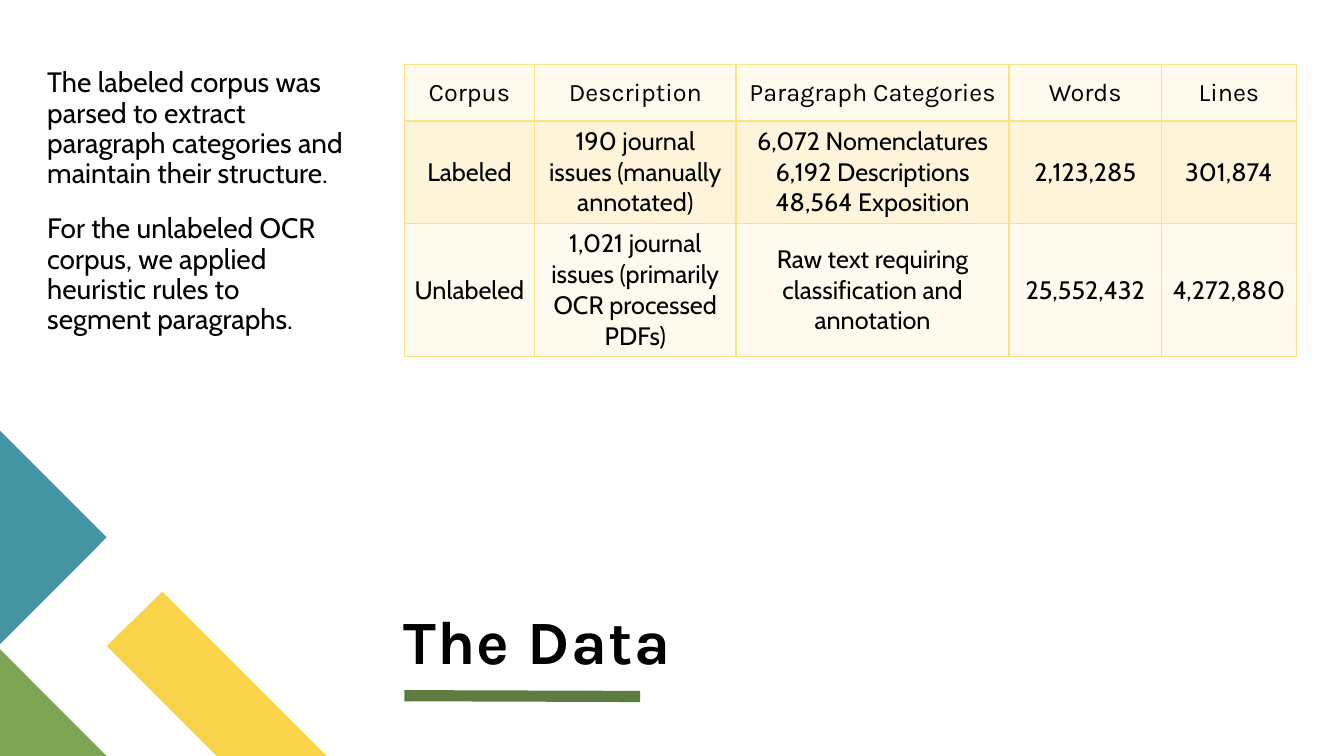
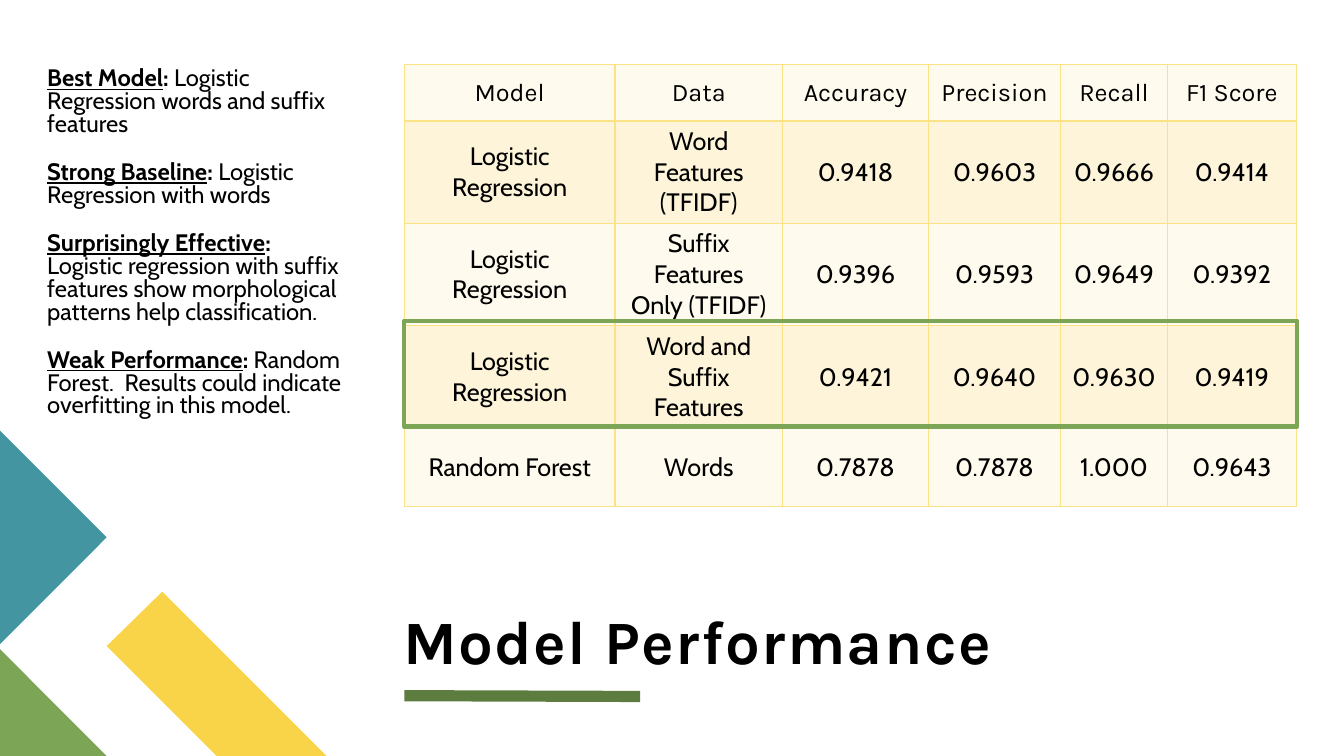
"""Build two slides on a text corpus and the performance of its classifiers."""
from dataclasses import dataclass

from lxml import etree
from pptx import Presentation
from pptx.dml.color import RGBColor
from pptx.enum.shapes import MSO_CONNECTOR, MSO_SHAPE
from pptx.enum.text import MSO_ANCHOR, PP_ALIGN
from pptx.oxml.ns import qn
from pptx.util import Cm, Pt

STRAIGHT = MSO_CONNECTOR.STRAIGHT
RECTANGLE = MSO_SHAPE.RECTANGLE
CENTER = PP_ALIGN.CENTER
TOP, MIDDLE, BOTTOM = MSO_ANCHOR.TOP, MSO_ANCHOR.MIDDLE, MSO_ANCHOR.BOTTOM


@dataclass(frozen=True)
class Theme:
    """Colours, fonts and type sizes."""
    ink: str = "000000"
    yellow: str = "F9D448"
    green: str = "7CA655"
    teal: str = "4495A2"
    rule: str = "5D7D40"
    border: str = "FBE284"
    row_fills: tuple = ("FEFAED", "FDF4D9")
    heading: str = "Karla"
    body: str = "Cabin"
    title_size: int = 44
    table_size: int = 18
    paragraph_gap: int = 18


T = Theme()

CORNER_SHAPES = [
    (T.yellow, [(8.23, 19.05), (5.46, 19.05), (2.69, 16.28), (4.09, 14.91)]),
    (T.green, [(2.69, 19.05), (0, 19.05), (0, 16.36)]),
    (T.teal, [(0, 10.85), (2.69, 13.54), (0, 16.23)]),
]
TITLE_RULE = (10.19, 17.53, 16.13, 17.55)
TITLE_BOX = (10.16, 12.95, 22.05, 4.09)
NOTES_BOX = (1.19, 0.97, 7.85, 9.78)
TABLE_AT = (10.19, 1.63)

SLIDES = [
    {
        "title": "The Data",
        "note_size": 20,
        "note_spacing": 0.9,
        "notes": [
            ("", "The labeled corpus was parsed to extract paragraph categories "
                 "and maintain their structure."),
            ("", "For the unlabeled OCR corpus, we applied heuristic rules to "
                 "segment paragraphs."),
        ],
        "widths": [3.28, 5.08, 6.88, 3.84, 3.4],
        "heights": [1.42, 2.58, 3.36],
        "rows": [
            ("Corpus", "Description", "Paragraph Categories", "Words", "Lines"),
            ("Labeled", "190 journal issues (manually annotated)",
             "6,072 Nomenclatures\n6,192 Descriptions\n48,564 Exposition",
             "2,123,285", "301,874"),
            ("Unlabeled", "1,021 journal issues (primarily OCR processed PDFs)",
             "Raw text requiring classification and annotation",
             "25,552,432", "4,272,880"),
        ],
        "highlight": None,
    },
    {
        "title": "Model Performance",
        "note_size": 17,
        "note_spacing": 0.8,
        "notes": [
            ("Best Model", "Logistic Regression words and suffix features"),
            ("Strong Baseline", "Logistic Regression with words"),
            ("Surprisingly Effective", "Logistic regression with suffix features "
             "show morphological patterns help classification."),
            ("Weak Performance", "Random Forest.  Results could indicate "
             "overfitting in this model."),
        ],
        "widths": [5.31, 4.22, 3.68, 3.33, 2.69, 3.25],
        "heights": [1.42, 2.58, 2.58, 2.58, 1.98],
        "rows": [
            ("Model", "Data", "Accuracy", "Precision", "Recall", "F1 Score"),
            ("Logistic Regression", "Word Features (TFIDF)",
             "0.9418", "0.9603", "0.9666", "0.9414"),
            ("Logistic Regression", "Suffix Features\nOnly (TFIDF)",
             "0.9396", "0.9593", "0.9649", "0.9392"),
            ("Logistic Regression", "Word and Suffix Features",
             "0.9421", "0.9640", "0.9630", "0.9419"),
            ("Random Forest", "Words", "0.7878", "0.7878", "1.000", "0.9643"),
        ],
        "highlight": (10.19, 8.08, 22.5, 2.67),
    },
]


def rgb(value):
    return RGBColor.from_string(value)


def cms(values):
    return [Cm(v) for v in values]


def style(p, name, size, bold=False):
    p.font.name = name
    p.font.size = Pt(size)
    p.font.bold = bold
    p.font.color.rgb = rgb(T.ink)


def add_box(s, box, insets, anchor):
    tf = s.shapes.add_textbox(*cms(box)).text_frame
    tf.word_wrap = True
    tf.vertical_anchor = anchor
    tf.margin_left, tf.margin_top, tf.margin_right, tf.margin_bottom = cms(insets)
    return tf


def add_frame(s):
    for color, points in CORNER_SHAPES:
        start, *rest = [cms(point) for point in points]
        builder = s.shapes.build_freeform(*start)
        builder.add_line_segments(rest, close=True)
        sp = builder.convert_to_shape()
        sp.shadow.inherit = False
        sp.fill.solid()
        sp.fill.fore_color.rgb = rgb(color)
        sp.line.fill.background()
    rule = s.shapes.add_connector(STRAIGHT, *cms(TITLE_RULE))
    rule.line.color.rgb = rgb(T.rule)
    rule.line.width = Pt(8)
    etree.SubElement(rule._element.spPr, qn("a:effectLst"))


def add_title(s, text):
    p = add_box(s, TITLE_BOX, (0, 0, 0, 0), BOTTOM).paragraphs[0]
    r = p.add_run()
    r.text = text
    r._r.get_or_add_rPr().set("spc", "100")
    p.line_spacing = 0.8
    style(p, T.heading, T.title_size, bold=True)


def add_notes(s, notes, size, spacing):
    tf = add_box(s, NOTES_BOX, (0, 0.76, 0.25, 0.13), TOP)
    for i, (label, text) in enumerate(notes):
        p = tf.paragraphs[0]
        if i:
            p = tf.add_paragraph()
            p.space_before = Pt(T.paragraph_gap)
        p.line_spacing = spacing
        style(p, T.body, size)
        if label:
            for part, underline in ((label, True), (": ", False)):
                r = p.add_run()
                r.text = part
                r.font.bold = True
                r.font.underline = underline
        p.add_run().text = text


def set_borders(cell):
    tcPr = cell._tc.get_or_add_tcPr()
    for side in ("a:lnL", "a:lnR", "a:lnT", "a:lnB"):
        ln = etree.SubElement(tcPr, qn(side), w=str(Pt(1)))
        fill = etree.SubElement(ln, qn("a:solidFill"))
        etree.SubElement(fill, qn("a:srgbClr"), val=T.border)


def add_data_table(s, rows, widths, heights):
    table = s.shapes.add_table(len(rows), len(widths), *cms(TABLE_AT),
                               Cm(sum(widths)), Cm(sum(heights))).table
    table.first_row = table.horz_banding = False
    for column, width in zip(table.columns, widths):
        column.width = Cm(width)
    for i, (row, height) in enumerate(zip(rows, heights)):
        table.rows[i].height = Cm(height)
        for j, text in enumerate(row):
            cell = table.cell(i, j)
            set_borders(cell)
            cell.fill.solid()
            cell.fill.fore_color.rgb = rgb(T.row_fills[i % 2])
            cell.vertical_anchor = MIDDLE
            cell.text = text
            for p in cell.text_frame.paragraphs:
                p.alignment = CENTER
                style(p, T.body if i else T.heading, T.table_size)


def add_highlight(s, box):
    sp = s.shapes.add_shape(RECTANGLE, *cms(box))
    sp.shadow.inherit = False
    sp.fill.background()
    sp.line.color.rgb = rgb(T.green)
    sp.line.width = Pt(3)


def main():
    prs = Presentation()
    prs.slide_width, prs.slide_height = Cm(33.87), Cm(19.05)
    for content in SLIDES:
        s = prs.slides.add_slide(prs.slide_layouts[6])
        add_frame(s)
        add_title(s, content["title"])
        add_notes(s, content["notes"], content["note_size"], content["note_spacing"])
        add_data_table(s, content["rows"], content["widths"], content["heights"])
        if content["highlight"]:
            add_highlight(s, content["highlight"])
    prs.save("out.pptx")


if __name__ == "__main__":
    main()
